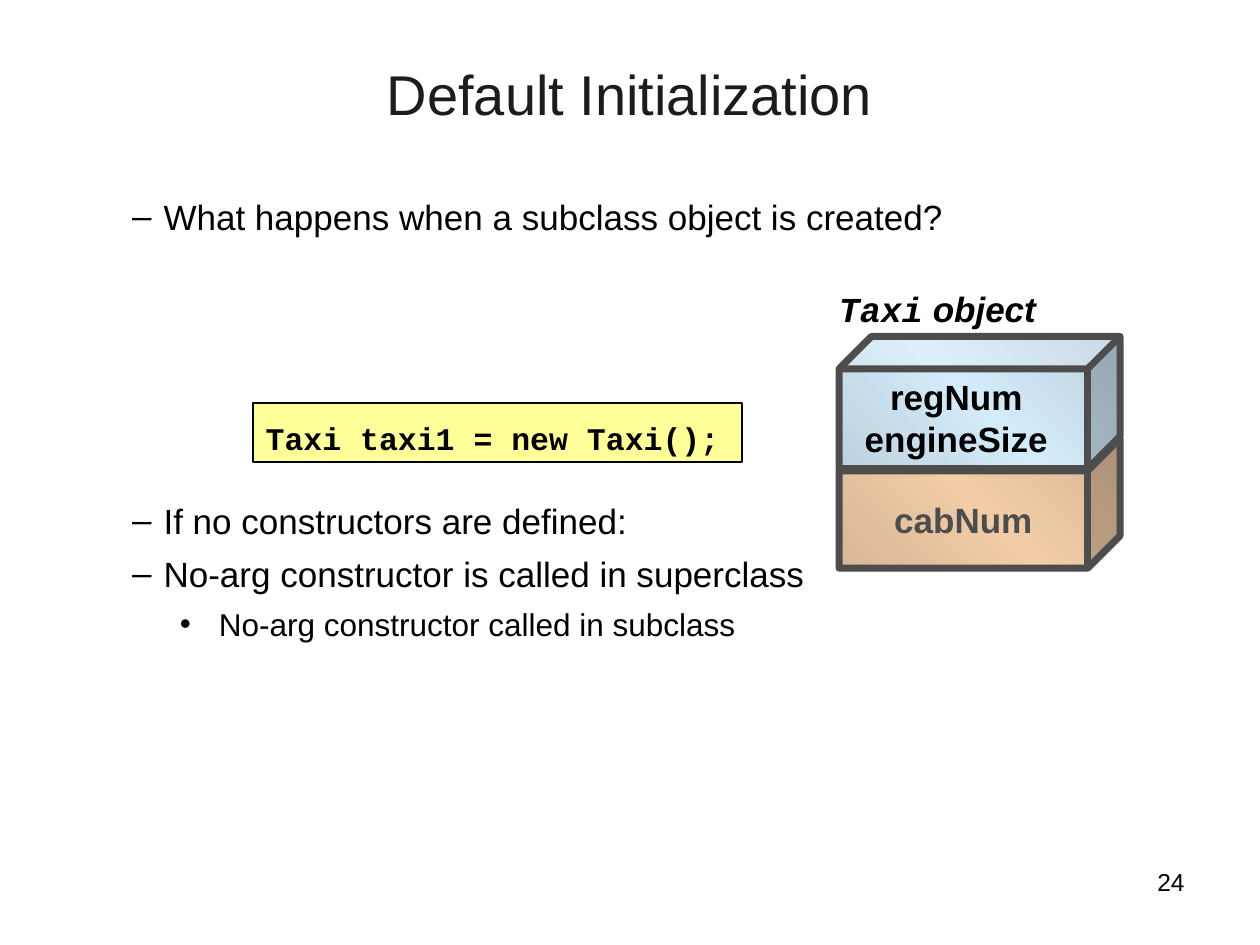
from copy import deepcopy

from lxml import etree
from pptx import Presentation
from pptx.dml.color import RGBColor
from pptx.enum.shapes import MSO_SHAPE
from pptx.enum.text import MSO_ANCHOR, PP_ALIGN
from pptx.oxml.ns import qn
from pptx.util import Inches, Pt

LEFT, CENTER, RIGHT = PP_ALIGN.LEFT, PP_ALIGN.CENTER, PP_ALIGN.RIGHT
TOP, MIDDLE = MSO_ANCHOR.TOP, MSO_ANCHOR.MIDDLE
CUBE, RECTANGLE = MSO_SHAPE.CUBE, MSO_SHAPE.RECTANGLE

BLACK = RGBColor(0x00, 0x00, 0x00)
TITLE_INK = RGBColor(0x1C, 0x1C, 0x1C)
GRAY = RGBColor(0x4D, 0x4D, 0x4D)
YELLOW = RGBColor(0xFF, 0xFF, 0x99)
TAN_EDGE = RGBColor(0xD8, 0xB7, 0x96)
TAN_MIDDLE = RGBColor(0xF1, 0xCC, 0xA7)
BLUE_EDGE = RGBColor(0xBD, 0xD2, 0xDF)
BLUE_MIDDLE = RGBColor(0xD3, 0xEA, 0xF8)


def write(box, *spans, size=20, font="Arial", color=BLACK, bold=False, italic=False,
          align=LEFT, before=0, spacing=None, anchor=TOP, wrap=True, new=True):
    """Write spans as one paragraph; a span is text or a (text, font) pair.

    With new=False the paragraph follows those already in the box.
    """
    frame = box.text_frame
    frame.word_wrap = wrap
    frame.vertical_anchor = anchor
    para = frame.paragraphs[0] if new else frame.add_paragraph()
    para.alignment = align
    para.space_before = Pt(before)
    if spacing:
        para.line_spacing = spacing
    for item in spans:
        text, face = item if isinstance(item, tuple) else (item, font)
        span = para.add_run()
        span.text = text
        span.font.name = face
        span.font.size = Pt(size)
        span.font.bold = bold
        span.font.italic = italic
        span.font.color.rgb = color
    return para


deck = Presentation()
deck.slide_width, deck.slide_height = Inches(10), Inches(7.5)
page = deck.slides.add_slide(deck.slide_layouts[6])
shapes = page.shapes

# Page number and title
page_number = shapes.add_textbox(Inches(7.17), Inches(6.83), Inches(2.33), Inches(0.52))
write(page_number, "24", size=14, align=RIGHT)
title = shapes.add_textbox(Inches(0.75), Inches(0.42), Inches(8.5), Inches(1.25))
write(title, "Default Initialization", size=32, color=TITLE_INK, align=CENTER)

# Bulleted body: text, level, size, space before (150 leaves room for the code)
body = shapes.add_textbox(Inches(0.83), Inches(1.5), Inches(8.24), Inches(3.62))
points = [
    ("What happens when a subclass object is created?", 1, 20, 2),
    ("If no constructors are defined:", 1, 20, 150),
    ("No-arg constructor is called in superclass", 1, 20, 6),
    ("No-arg constructor called in subclass", 2, 18, 6),
]
bullets = {1: ("–", 0.37, -0.25), 2: ("•", 0.81, -0.31)}
for index, (text, level, size, before) in enumerate(points):
    para = write(body, text, size=size, before=before, new=index == 0)
    para.level = level
    mark, margin, indent = bullets[level]
    properties = para._p.get_or_add_pPr()
    properties.set("marL", str(Inches(margin)))
    properties.set("indent", str(Inches(indent)))
    etree.SubElement(properties, qn("a:buFont")).set("typeface", "Arial")
    etree.SubElement(properties, qn("a:buChar")).set("char", mark)

# Taxi object: subclass part below, superclass part in front of it
cubes = []
for top, height, depth, edge, middle in [
    (3.48, 1.03, 0.25, TAN_EDGE, TAN_MIDDLE),
    (2.67, 1.05, 0.245, BLUE_EDGE, BLUE_MIDDLE),
]:
    cube = shapes.add_shape(CUBE, Inches(6.66), Inches(top), Inches(2.23), Inches(height))
    cube.shadow.inherit = False
    cube.adjustments[0] = depth
    cube.line.color.rgb = GRAY
    cube.line.width = Pt(4)
    cube.fill.gradient()
    cube.fill.gradient_angle = 45
    stop_list = cube._element.spPr.find(".//" + qn("a:gsLst"))
    stop_list.insert(1, deepcopy(stop_list[0]))
    for stop, position, color in zip(cube.fill.gradient_stops, (0, 0.5, 1), (edge, middle, edge)):
        stop.position = position
        stop.color.rgb = color
    cubes.append(cube)
write(cubes[0], "cabNum", color=GRAY, bold=True, align=CENTER, anchor=MIDDLE, wrap=False)

superclass_fields = shapes.add_textbox(Inches(6.72), Inches(2.93), Inches(1.74), Inches(0.76))
write(superclass_fields, "regNum", bold=True, align=CENTER)
write(superclass_fields, "engineSize", bold=True, align=CENTER, new=False)

caption = shapes.add_textbox(Inches(6.56), Inches(2.26), Inches(2.04), Inches(0.42))
write(caption, ("Taxi", "Courier New"), " object", bold=True, italic=True,
      before=8.8, spacing=0.95)

# Code line
code = shapes.add_shape(RECTANGLE, Inches(2.01), Inches(3.2), Inches(3.88), Inches(0.47))
code.shadow.inherit = False
code.fill.solid()
code.fill.fore_color.rgb = YELLOW
code.line.color.rgb = BLACK
code.line.width = Pt(1)
write(code, "Taxi taxi1 = new Taxi();", size=18, font="Courier New", bold=True, spacing=1.25)

deck.save("out.pptx")
